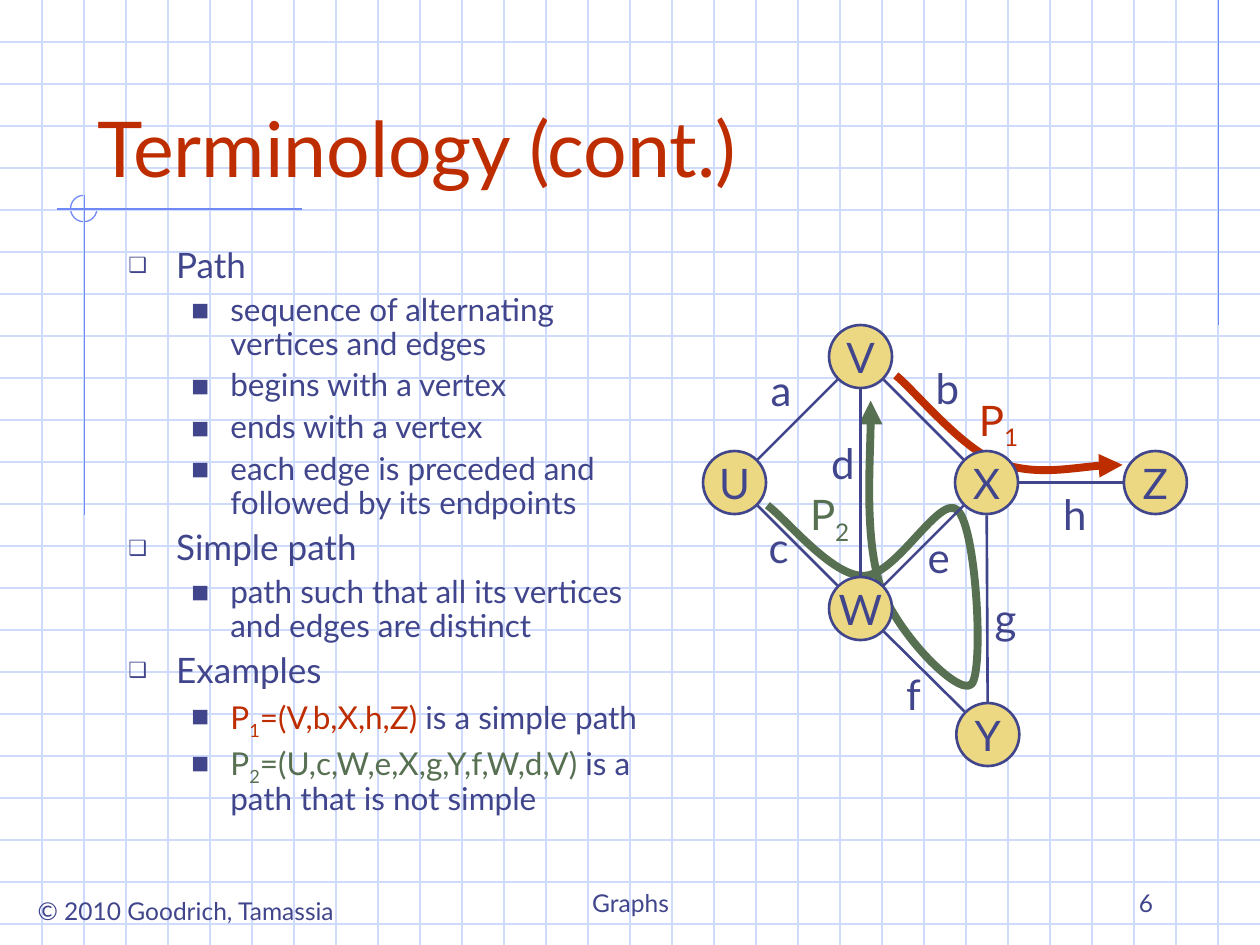
from math import hypot

from lxml import etree
from pptx import Presentation
from pptx.dml.color import RGBColor
from pptx.enum.shapes import MSO_CONNECTOR, MSO_SHAPE
from pptx.enum.text import MSO_ANCHOR, MSO_AUTO_SIZE, PP_ALIGN
from pptx.oxml.ns import qn
from pptx.util import Inches, Pt

STRAIGHT = MSO_CONNECTOR.STRAIGHT
OVAL, ARC = MSO_SHAPE.OVAL, MSO_SHAPE.ARC
TOP, MIDDLE, BOTTOM = MSO_ANCHOR.TOP, MSO_ANCHOR.MIDDLE, MSO_ANCHOR.BOTTOM
LEFT, CENTER, RIGHT = PP_ALIGN.LEFT, PP_ALIGN.CENTER, PP_ALIGN.RIGHT
NO_AUTOFIT = MSO_AUTO_SIZE.NONE

INDIGO = RGBColor(0x40, 0x45, 0x8C)
RED = RGBColor(0xBE, 0x2D, 0x00)
GREEN = RGBColor(0x57, 0x70, 0x52)
SAND = RGBColor(0xEC, 0xD8, 0x82)
GRID_BLUE = RGBColor(0xCF, 0xDB, 0xFD)
ACCENT_BLUE = RGBColor(0x6F, 0x89, 0xF7)

WIDTH, HEIGHT = 10, 7.5
NODE_SIZE = 0.5
EDGE_GAP = 0.26
BULLETS = [("❑", 0.38, 0.38, 5, 20), ("■", 0.81, 0.31, 4.5, 18)]

OUTLINE = [
    (0, [("Path", INDIGO, 0)]),
    (1, [("sequence of alternating vertices and edges", INDIGO, 0)]),
    (1, [("begins with a vertex", INDIGO, 0)]),
    (1, [("ends with a vertex", INDIGO, 0)]),
    (1, [("each edge is preceded and followed by its endpoints", INDIGO, 0)]),
    (0, [("Simple path", INDIGO, 0)]),
    (1, [("path such that all its vertices and edges are distinct", INDIGO, 0)]),
    (0, [("Examples", INDIGO, 0)]),
    (1, [("P", RED, 0), ("1", RED, -25), ("=(V,b,X,h,Z)", RED, 0),
         (" is a simple path", INDIGO, 0)]),
    (1, [("P", GREEN, 0), ("2", GREEN, -25), ("=(U,c,W,e,X,g,Y,f,W,d,V)", GREEN, 0),
         (" is a path that is not simple", INDIGO, 0)]),
]
VERTICES = {"X": (7.83, 3.83), "U": (5.83, 3.83), "V": (6.83, 2.83),
            "W": (6.83, 4.83), "Z": (9.17, 3.83), "Y": (7.84, 5.83)}
EDGES = ["VU", "WU", "WX", "XZ", "VX", "VW", "WY", "XY"]
EDGE_LABELS = {"a": (6.2, 2.84), "c": (6.18, 4.09), "b": (7.52, 2.83), "e": (7.45, 4.17),
               "d": (6.69, 3.42), "f": (7.25, 5.26), "g": (7.98, 4.65), "h": (8.53, 3.83)}
SIMPLE_PATH = [(7.11, 2.98), (7.25, 3.09), (7.62, 3.55), (7.92, 3.67),
               (8.22, 3.78), (8.7, 3.68), (8.91, 3.69)]
CROSSING_PATH = [(6.09, 4.01), (6.25, 4.13), (6.6, 4.57), (6.85, 4.57),
                 (7.11, 4.58), (7.46, 3.91), (7.6, 4.05), (7.75, 4.19),
                 (7.81, 5.33), (7.71, 5.43), (7.61, 5.53), (7.12, 5.03),
                 (6.99, 4.66), (6.86, 4.28), (6.92, 3.42), (6.91, 3.18)]


class GraphSlide:
    """Holds the style and the slide and draws each kind of element."""

    font_name = "Lato"

    def __init__(self, slide):
        self.slide = slide
        self.shapes = slide.shapes

    def style_text(self, paragraph, size, color=INDIGO, align=LEFT):
        paragraph.alignment = align
        paragraph.font.name = self.font_name
        paragraph.font.size = Pt(size)
        paragraph.font.color.rgb = color

    def add_runs(self, paragraph, runs):
        for text, color, baseline in runs:
            run = paragraph.add_run()
            run.text = text
            run.font.color.rgb = color
            if baseline:
                run.font._element.set("baseline", str(baseline * 1000))

    def title(self, text, left, top, width, height):
        heading = self.shapes.title
        heading.left, heading.top = Inches(left), Inches(top)
        heading.width, heading.height = Inches(width), Inches(height)
        heading.text_frame.text = text
        heading.text_frame.auto_size = NO_AUTOFIT
        heading.text_frame.vertical_anchor = BOTTOM
        self.style_text(heading.text_frame.paragraphs[0], 44, RED)
        self.shapes._spTree.append(heading._element)

    def text(self, runs, left, top, width, height, size, align=CENTER, anchor=TOP, wrap=False):
        box = self.shapes.add_textbox(Inches(left), Inches(top), Inches(width), Inches(height))
        box.text_frame.word_wrap = wrap
        box.text_frame.vertical_anchor = anchor
        paragraph = box.text_frame.paragraphs[0]
        self.style_text(paragraph, size, runs[0][1], align)
        self.add_runs(paragraph, runs)

    def outline(self, items, left, top, width, height):
        box = self.shapes.add_textbox(Inches(left), Inches(top), Inches(width), Inches(height))
        frame = box.text_frame
        frame.word_wrap = True
        for index, (level, runs) in enumerate(items):
            paragraph = frame.add_paragraph() if index else frame.paragraphs[0]
            mark, margin, hanging, before, size = BULLETS[level]
            paragraph.level = level
            properties = paragraph._p.get_or_add_pPr()
            properties.set("marL", str(Inches(margin)))
            properties.set("indent", str(-Inches(hanging)))
            bullet_color = etree.SubElement(properties, qn("a:buClr"))
            etree.SubElement(bullet_color, qn("a:srgbClr"), val=str(INDIGO))
            etree.SubElement(properties, qn("a:buSzPct"), val="60000")
            etree.SubElement(properties, qn("a:buFont"), typeface=self.font_name)
            etree.SubElement(properties, qn("a:buChar"), char=mark)
            paragraph.line_spacing = 0.9
            paragraph.space_before = Pt(before)
            self.style_text(paragraph, size)
            self.add_runs(paragraph, runs)

    def line(self, start, end, color=INDIGO, weight=1.5, shapes=None):
        x1, y1, x2, y2 = (Inches(value) for value in (*start, *end))
        connector = (shapes or self.shapes).add_connector(STRAIGHT, x1, y1, x2, y2)
        connector.line.color.rgb = color
        connector.line.width = Pt(weight)
        etree.SubElement(connector._element.spPr, qn("a:effectLst"))

    def edge(self, start, end):
        (x1, y1), (x2, y2) = start, end
        share = EDGE_GAP / hypot(x2 - x1, y2 - y1)
        dx, dy = (x2 - x1) * share, (y2 - y1) * share
        self.line((x1 + dx, y1 + dy), (x2 - dx, y2 - dy))

    def node(self, name, center):
        left, top = (Inches(value - NODE_SIZE / 2) for value in center)
        circle = self.shapes.add_shape(OVAL, left, top, Inches(NODE_SIZE), Inches(NODE_SIZE))
        circle.shadow.inherit = False
        circle.fill.solid()
        circle.fill.fore_color.rgb = SAND
        circle.line.color.rgb = INDIGO
        circle.line.width = Pt(1.5)
        circle.text_frame.word_wrap = False
        circle.text_frame.vertical_anchor = MIDDLE
        circle.text_frame.text = name
        self.style_text(circle.text_frame.paragraphs[0], 24, align=CENTER)

    def curved_arrow(self, controls, color):
        start, *rest = [(Inches(x), Inches(y)) for x, y in controls]
        builder = self.shapes.build_freeform(*start)
        builder.add_line_segments(rest, close=False)
        route = builder.convert_to_shape()
        segments = list(route._element.iter(qn("a:lnTo")))
        outline = segments[0].getparent()
        for first in range(0, len(segments), 3):
            curve = etree.SubElement(outline, qn("a:cubicBezTo"))
            for segment in segments[first:first + 3]:
                curve.append(segment[0])
                outline.remove(segment)
        route.shadow.inherit = False
        route.fill.background()
        route.line.color.rgb = color
        route.line.width = Pt(4.5)
        etree.SubElement(route.line._get_or_add_ln(), qn("a:tailEnd"), type="triangle")

    def three_quarter_arc(self, shapes, left, top, size):
        arc = shapes.add_shape(ARC, Inches(left), Inches(top), Inches(size), Inches(size))
        arc.adjustments[0], arc.adjustments[1] = 0, 162
        arc.shadow.inherit = False
        arc.fill.background()
        arc.line.color.rgb = ACCENT_BLUE
        arc.line.width = Pt(0.75)

    def backdrop(self):
        group = self.shapes.add_group_shape().shapes
        for step in range(1, 23):
            self.line((0, step / 3), (WIDTH, step / 3), GRID_BLUE, 0.75, group)
        for step in range(1, 30):
            self.line((step / 3, 0), (step / 3, HEIGHT), GRID_BLUE, 0.75, group)
        for start, end in [((9.67, 0), (9.67, 2.58)), ((2.4, 1.66), (0.45, 1.66)),
                           ((0.67, 1.55), (0.67, 4.09))]:
            self.line(start, end, ACCENT_BLUE, 0.75, group)
        self.three_quarter_arc(group, 0.56, 1.55, 0.21)


def main():
    deck = Presentation()
    deck.slide_width, deck.slide_height = Inches(WIDTH), Inches(HEIGHT)
    page = GraphSlide(deck.slides.add_slide(deck.slide_layouts[5]))
    page.backdrop()
    page.text([("© 2010 Goodrich, Tamassia", INDIGO, 0)], 0.12, 7.06, 2.71, 0.34, 14)
    page.text([("Graphs", INDIGO, 0)], 3.42, 6.83, 3.17, 0.5, 14, CENTER, BOTTOM, True)
    page.text([("6", INDIGO, 0)], 7.17, 6.83, 2.08, 0.5, 14, RIGHT, BOTTOM, True)
    page.curved_arrow(CROSSING_PATH, GREEN)
    page.text([("P", RED, 0), ("1", RED, -25)], 7.67, 3.08, 0.51, 0.56, 24)
    page.curved_arrow(SIMPLE_PATH, RED)
    page.title("Terminology (cont.)", 0.67, 0.33, 8.5, 1.25)
    page.outline(OUTLINE, 0.92, 1.92, 4.45, 4.67)
    for name, center in VERTICES.items():
        page.node(name, center)
    for start, end in EDGES:
        page.edge(VERTICES[start], VERTICES[end])
    for label, (center, top) in EDGE_LABELS.items():
        page.text([(label, INDIGO, 0)], center - 0.2, top, 0.4, 0.5, 24)
    page.text([("P", GREEN, 0), ("2", GREEN, -25)], 6.33, 3.83, 0.51, 0.56, 24)
    deck.save("out.pptx")


if __name__ == "__main__":
    main()
